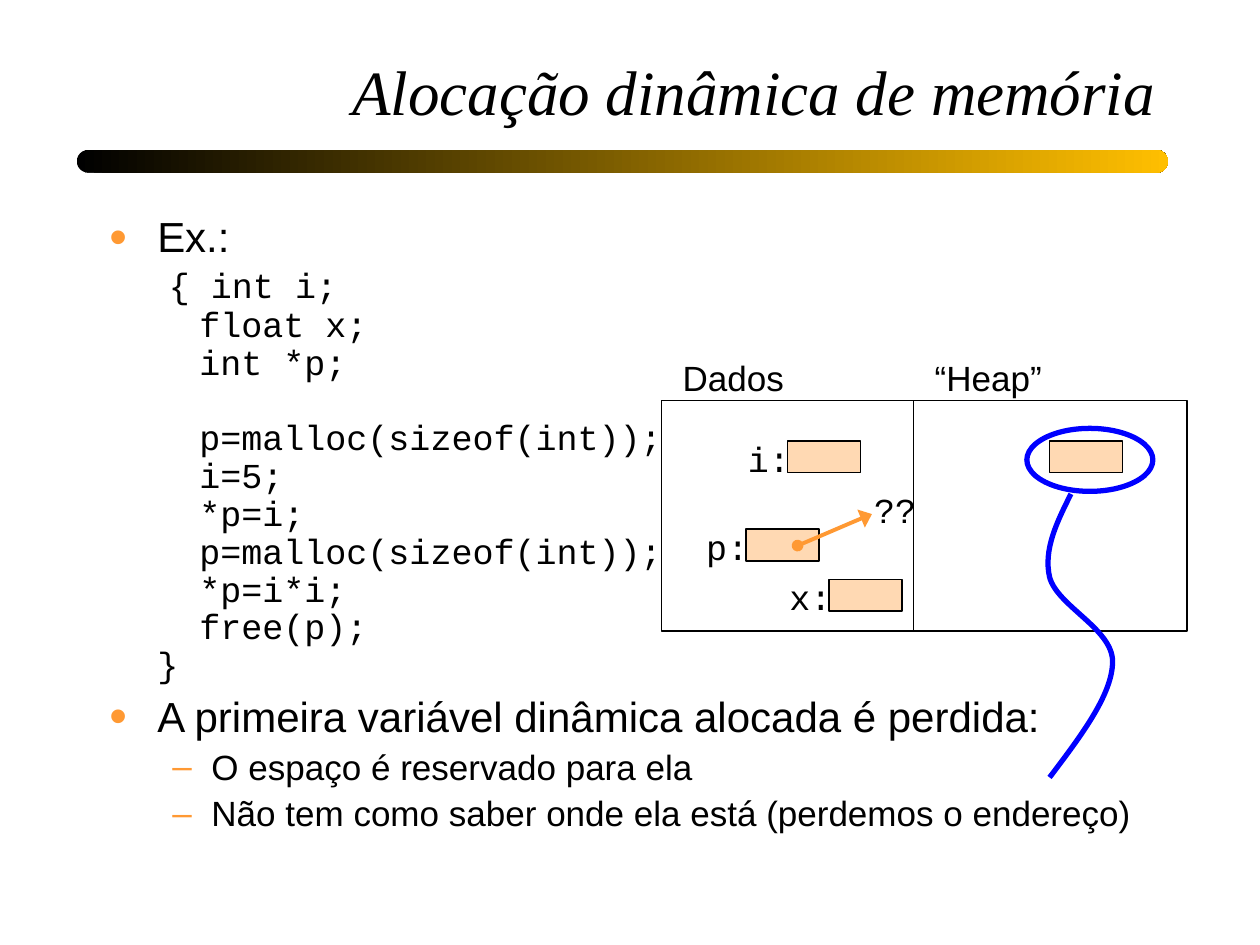
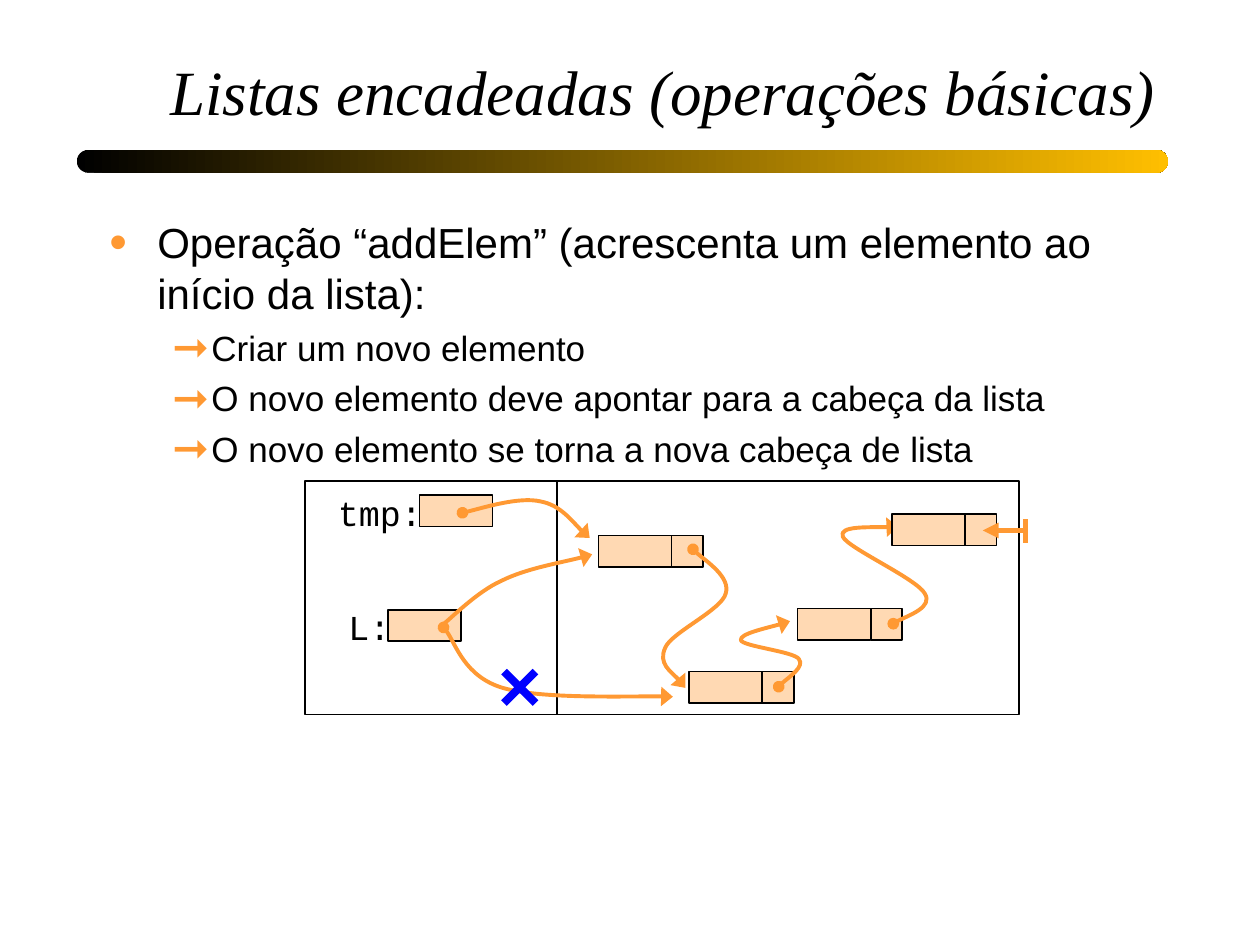
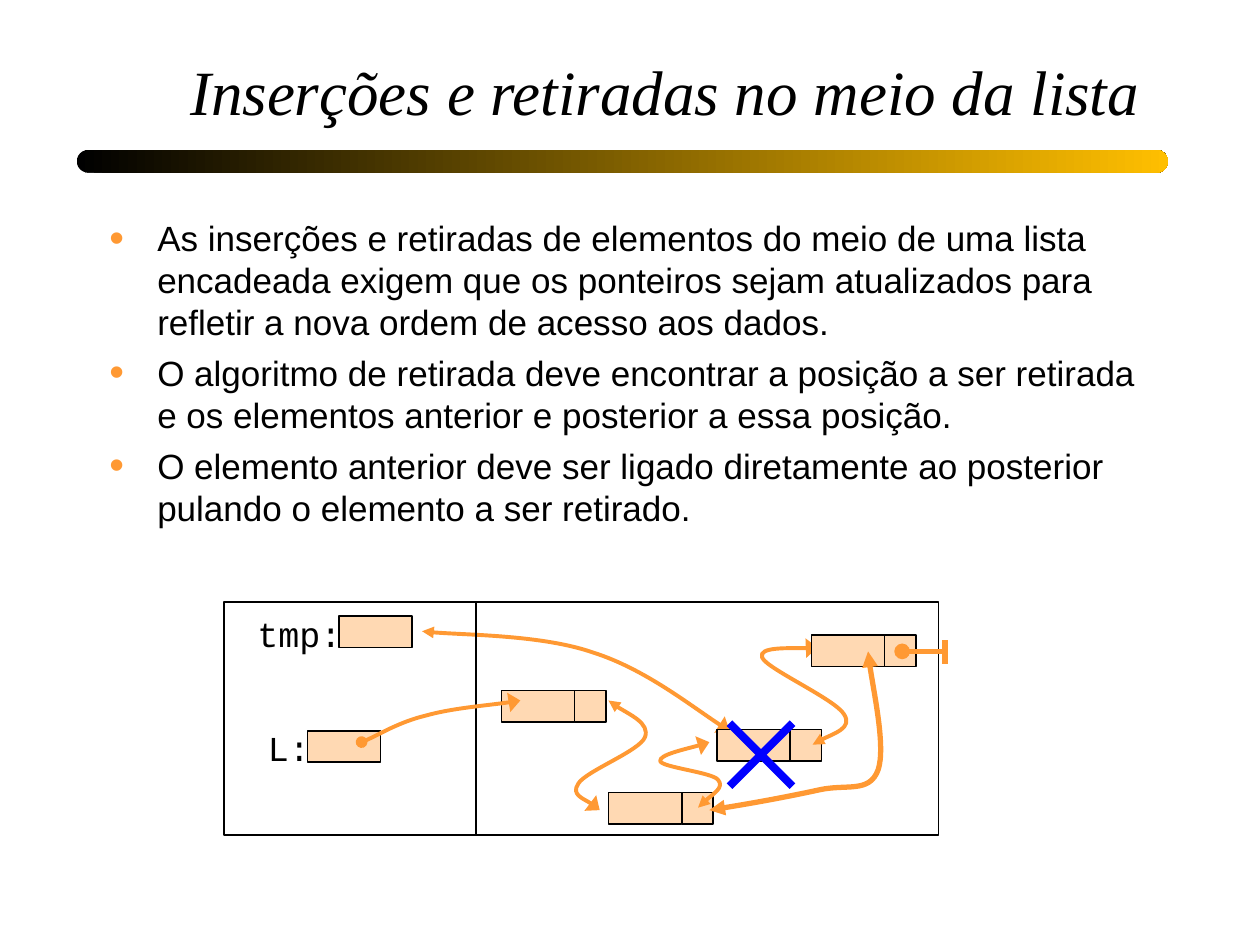
"""Build three slides on dynamic memory and linked lists."""
from copy import deepcopy
from dataclasses import dataclass, replace

from lxml.etree import SubElement
from pptx import Presentation
from pptx.dml.color import RGBColor
from pptx.enum.shapes import MSO_CONNECTOR, MSO_SHAPE
from pptx.enum.text import MSO_ANCHOR, MSO_AUTO_SIZE, PP_ALIGN
from pptx.oxml.ns import qn
from pptx.util import Inches, Pt


@dataclass(frozen=True)
class Theme:
    """Hold the colours, fonts and type sizes."""
    ink: str = "000000"
    gold: str = "FFBF00"
    peach: str = "FFD9B3"
    orange: str = "FF9933"
    blue: str = "0000FF"
    serif: str = "Times New Roman"
    sans: str = "Arial"
    mono: str = "Courier New"
    title: int = 36
    lead: int = 24
    text: int = 20


THEME = Theme()
CELL_W, LINK_W, CELL_H = 0.58, 0.25, 0.25
DATA_W = 2.0
SHIFT = (-0.64, 0.96)


@dataclass(frozen=True)
class Item:
    """Describe one bulleted paragraph."""
    text: str
    size: int = THEME.text
    mark: str = "•"
    scale: int = 120
    space: int = 5
    code: str = ""


@dataclass(frozen=True)
class Part:
    """Place one part of a diagram."""
    x: float
    y: float


@dataclass(frozen=True)
class Box(Part):
    """Describe an outlined shape."""
    w: float = CELL_W
    h: float = CELL_H
    fill: str | None = THEME.peach
    line: str = THEME.ink
    width: float = 1
    kind: MSO_SHAPE = MSO_SHAPE.RECTANGLE


@dataclass(frozen=True)
class Label(Part):
    """Describe a short text."""
    text: str
    w: float
    font: str = THEME.mono


@dataclass(frozen=True)
class Named(Part):
    """Describe a variable: a cell with its name on the left."""
    name: str


@dataclass(frozen=True)
class Node(Part):
    """Describe a list element: a cell and its link."""


@dataclass(frozen=True)
class Frame(Part):
    """Describe the memory frame, split into data and heap."""
    w: float
    h: float


@dataclass(frozen=True)
class Line(Part):
    """Describe a straight line by its start and extent."""
    w: float
    h: float
    color: str = THEME.orange
    width: float = 3
    head: str = ""
    tail: str = ""


@dataclass(frozen=True)
class Cross(Part):
    """Describe a blue cross."""
    size: float


@dataclass(frozen=True)
class Curve(Part):
    """Describe joined Bézier curves, moved by x and y."""
    points: tuple[tuple[float, float], ...]
    head: str = "oval"
    tail: str = "triangle"
    color: str = THEME.orange
    width: float = 2.25
    span: str = "lg"


def rgb(color: str) -> RGBColor:
    """Turn a hex string into a colour."""
    return RGBColor.from_string(color)


def style(font, face: str, size: int) -> None:
    """Set face, size and ink of a font."""
    font.name, font.size = face, Pt(size)
    font.color.rgb = rgb(THEME.ink)


def write(para, text: str, face: str, size: int) -> None:
    """Add text to a paragraph, with a break at each new line."""
    for row, words in enumerate(text.split("\n")):
        if row:
            para.add_line_break()
            para._p[-1].append(deepcopy(run._r.rPr))
        if words:
            run = para.add_run()
            run.text = words
            style(run.font, face, size)


def stroke(shape, color: str, width: float, head: str = "", tail: str = "",
           span: str = "med") -> None:
    """Colour a line and add its arrowheads, the tail as wide as span."""
    shape.line.color.rgb = rgb(color)
    shape.line.width = Pt(width)
    line = shape.element.spPr.find(qn("a:ln"))
    for tag, kind, wide in (("a:headEnd", head, "med"), ("a:tailEnd", tail, span)):
        if kind:
            tip = SubElement(line, qn(tag))
            tip.set("type", kind)
            tip.set("w", wide)


def draw_box(slide, box: Box) -> None:
    """Draw an outlined shape."""
    shape = slide.shapes.add_shape(box.kind, *map(Inches, (box.x, box.y, box.w, box.h)))
    shape.shadow.inherit = False
    if box.fill:
        shape.fill.solid()
        shape.fill.fore_color.rgb = rgb(box.fill)
    else:
        shape.fill.background()
    stroke(shape, box.line, box.width)


def draw_label(slide, label: Label) -> None:
    """Draw a short text on one line, free to use the right margin."""
    shape = slide.shapes.add_textbox(*map(Inches, (label.x, label.y, label.w, 0.44)))
    frame = shape.text_frame
    frame.word_wrap = False
    frame.auto_size = MSO_AUTO_SIZE.SHAPE_TO_FIT_TEXT
    frame.margin_right = 0
    write(frame.paragraphs[0], label.text, label.font, THEME.text)


def draw_line(slide, line: Line) -> None:
    """Draw a straight line."""
    ends = (line.x, line.y, line.x + line.w, line.y + line.h)
    shape = slide.shapes.add_connector(MSO_CONNECTOR.STRAIGHT, *map(Inches, ends))
    stroke(shape, line.color, line.width, line.head, line.tail)
    SubElement(shape.element.spPr, qn("a:effectLst"))


def draw_curve(slide, curve: Curve) -> None:
    """Draw a chain of Bézier curves, three points to each."""
    first, *rest = [(Inches(x + curve.x), Inches(y + curve.y)) for x, y in curve.points]
    maker = slide.shapes.build_freeform(*first)
    maker.add_line_segments(rest, close=False)
    shape = maker.convert_to_shape()
    shape.shadow.inherit = False
    shape.fill.background()
    steps = list(shape.element.iter(qn("a:lnTo")))
    host = steps[0].getparent()
    for start in range(0, len(steps), 3):
        bend = SubElement(host, qn("a:cubicBezTo"))
        for step in steps[start:start + 3]:
            bend.append(step[0])
            host.remove(step)
    stroke(shape, curve.color, curve.width, curve.head, curve.tail, curve.span)


def draw(slide, parts: list[Part]) -> None:
    """Draw parts from back to front."""
    for part in parts:
        x, y = part.x, part.y
        match part:
            case Box():
                draw_box(slide, part)
            case Label():
                draw_label(slide, part)
            case Line():
                draw_line(slide, part)
            case Curve():
                draw_curve(slide, part)
            case Named():
                wide = 0.2 + len(part.name) / 6
                draw(slide, [Label(x + 0.12 - wide, y - 0.08, part.name, wide), Box(x, y)])
            case Node():
                draw(slide, [Box(x, y), Box(x + CELL_W, y, LINK_W)])
            case Frame():
                draw(slide, [Box(x, y, part.w, part.h, None),
                             Line(x + DATA_W, y, 0, part.h, THEME.ink, 1)])
            case Cross():
                size = part.size
                draw(slide, [Line(x, y, size, size, THEME.blue, 4.5),
                             Line(x + size, y, -size, size, THEME.blue, 4.5)])


def move(parts: list[Part], dx: float, dy: float) -> list[Part]:
    """Shift parts by a distance."""
    return [replace(part, x=part.x + dx, y=part.y + dy) for part in parts]


def chain(head: str, null: str) -> list[Part]:
    """List the parts that both list diagrams share."""
    return [
        Frame(2.42, 3.82, 5.67, 1.85),
        Named(3.33, 3.93, "tmp:"),
        Named(3.08, 4.84, "L:"),
        Node(6.33, 4.83),
        Curve(0, 0, ((7.09, 4.95), (7.14, 4.91), (7.41, 4.82), (7.34, 4.71),
                     (7.27, 4.59), (6.73, 4.35), (6.69, 4.26),
                     (6.65, 4.17), (7.04, 4.19), (7.13, 4.18)), head),
        Node(5.47, 5.33),
        Curve(0, 0, ((6.18, 5.45), (6.21, 5.41), (6.39, 5.29), (6.34, 5.23),
                     (6.3, 5.17), (5.89, 5.13), (5.88, 5.08),
                     (5.87, 5.03), (6.19, 4.96), (6.27, 4.93)), head),
        Node(7.08, 4.08),
        Line(7.8, 4.21, 0.36, 0, head=null),
        Line(8.14, 4.12, 0, 0.19),
    ]


def add_mark(para, item: Item) -> None:
    """Give a paragraph its indent and bullet."""
    deep = item.mark != "•"
    left, hang = (0.81, -0.31) if deep else (0.38, -0.38)
    para.level = int(deep)
    props = para._p.get_or_add_pPr()
    props.set("marL", str(Inches(left)))
    props.set("indent", str(Inches(hang)))
    SubElement(SubElement(props, qn("a:buClr")), qn("a:srgbClr")).set("val", THEME.orange)
    SubElement(props, qn("a:buSzPct")).set("val", str(item.scale * 1000))
    SubElement(props, qn("a:buFont")).set("typeface", THEME.sans)
    SubElement(props, qn("a:buChar")).set("char", item.mark)


def add_band(slide) -> None:
    """Draw the gradient band under the title."""
    band = slide.shapes.add_shape(MSO_SHAPE.ROUNDED_RECTANGLE,
                                  *map(Inches, (0.61, 1.19, 8.66, 0.18)))
    band.adjustments[0] = 0.5
    band.shadow.inherit = False
    band.line.fill.background()
    band.fill.gradient()
    band.fill.gradient_angle = 0
    for stop, color in zip(band.fill.gradient_stops, (THEME.ink, THEME.gold)):
        stop.color.rgb = rgb(color)


def add_title(slide, text: str) -> None:
    """Place and format the title."""
    title = slide.shapes.title
    title.left, title.top, title.width, title.height = map(Inches, (0.77, 0.15, 8.5, 0.92))
    frame = title.text_frame
    frame.vertical_anchor = MSO_ANCHOR.BOTTOM
    frame.auto_size = MSO_AUTO_SIZE.NONE
    para = frame.paragraphs[0]
    para.alignment = PP_ALIGN.RIGHT
    write(para, text, THEME.serif, THEME.title)
    para.runs[0].font.italic = True


def add_body(slide, items: list[Item], height: float, pitch: float) -> None:
    """Add the bulleted text."""
    frame = slide.shapes.add_textbox(*map(Inches, (0.77, 1.67, 8.5, height))).text_frame
    frame.word_wrap = True
    for place, item in enumerate(items):
        para = frame.add_paragraph() if place else frame.paragraphs[0]
        para.line_spacing = pitch
        if place:
            para.space_before = Pt(item.space)
        add_mark(para, item)
        write(para, item.text, THEME.sans, item.size)
        if item.code:
            write(para, item.code, THEME.mono, THEME.text)


def add_page(deck, title: str, items: list[Item], parts: list[Part],
             height: float = 5.25, pitch: float = 1.0) -> None:
    """Add a slide with title, band, text and diagram."""
    slide = deck.slides.add_slide(deck.slide_layouts[5])
    add_band(slide)
    add_title(slide, title)
    add_body(slide, items, height, pitch)
    draw(slide, parts)


CODE = """{ int i;
  float x;
  int *p;

  p=malloc(sizeof(int));
  i=5;
  *p=i;
  p=malloc(sizeof(int));
  *p=i*i;
  free(p);
}"""


def main() -> None:
    """Build and save the deck."""
    deck = Presentation()
    deck.slide_width, deck.slide_height = Inches(10), Inches(7.5)

    add_page(deck, "Alocação dinâmica de memória", [
        Item("Ex.:\n ", THEME.lead, code=CODE),
        Item("A primeira variável dinâmica alocada é perdida:", THEME.lead, space=6),
        Item("O espaço é reservado para ela", mark="–", scale=100),
        Item("Não tem como saber onde ela está (perdemos o endereço)", mark="–", scale=100),
    ], [
        Frame(5.25, 3.18, 4.17, 1.83),
        Named(6.25, 3.5, "i:"),
        Named(6.58, 4.6, "x:"),
        Named(5.92, 4.2, "p:"),
        Label(5.32, 2.78, "Dados", 1, THEME.sans),
        Label(7.32, 2.78, "“Heap”", 1.05, THEME.sans),
        Box(8.33, 3.5),
        Curve(0, 0, ((6.33, 4.33), (6.43, 4.29), (6.82, 4.12), (6.92, 4.08))),
        Label(6.84, 3.83, "??", 0.53),
        Box(8.15, 3.4, 1, 0.5, None, THEME.blue, 3, MSO_SHAPE.OVAL),
        Curve(0, 0, ((8.33, 6.17), (8.58, 5.84), (8.83, 5.51), (8.83, 5.25),
                     (8.83, 4.99), (8.39, 4.81), (8.33, 4.58),
                     (8.28, 4.36), (8.39, 4.14), (8.5, 3.92)), "", "", THEME.blue, 3),
    ], 5.5, 0.9)

    add_page(deck, "Listas encadeadas (operações básicas)", [
        Item("Operação “addElem” (acrescenta um elemento ao início da lista):", THEME.lead),
        Item("Criar um novo elemento", mark="➞", scale=125),
        Item("O novo elemento deve apontar para a cabeça da lista", mark="➞", scale=125),
        Item("O novo elemento se torna a nova cabeça de lista", mark="➞", scale=125),
    ], [
        *chain("oval", "triangle"),
        Node(4.75, 4.25),
        Curve(0, 0, ((3.67, 4.07), (3.77, 4.05), (4.12, 3.94), (4.29, 3.98),
                     (4.45, 4.01), (4.6, 4.21), (4.68, 4.27))),
        Curve(0, 0, ((5.5, 4.36), (5.54, 4.41), (5.8, 4.58), (5.76, 4.71),
                     (5.73, 4.84), (5.33, 5.02), (5.28, 5.14),
                     (5.22, 5.27), (5.41, 5.4), (5.44, 5.46))),
        Curve(0, 0, ((3.52, 4.98), (3.6, 5.06), (3.69, 5.37), (3.99, 5.46),
                     (4.3, 5.55), (5.06, 5.52), (5.34, 5.53))),
        Curve(0, 0, ((3.5, 4.97), (3.58, 4.91), (3.78, 4.7), (3.98, 4.61),
                     (4.18, 4.51), (4.55, 4.45), (4.7, 4.4)), ""),
        Cross(4, 5.33, 0.25),
    ])

    add_page(deck, "Inserções e retiradas no meio da lista ", [
        Item("As inserções e retiradas de elementos do meio de uma lista encadeada exigem "
             "que os ponteiros sejam atualizados para refletir a nova ordem de acesso "
             "aos dados."),
        Item("O algoritmo de retirada deve encontrar a posição a ser retirada e os "
             "elementos anterior e posterior a essa posição."),
        Item("O elemento anterior deve ser ligado diretamente ao posterior pulando o "
             "elemento a ser retirado."),
    ], [
        Node(3.98, 5.48),
        Curve(0, 0, ((3.35, 5.01), (3.57, 5.04), (4.31, 5.04), (4.71, 5.18),
                     (5.12, 5.31), (5.57, 5.67), (5.79, 5.8)), "triangle"),
        *move(chain("triangle", "oval"), *SHIFT),
        Curve(0, 0, ((4.83, 5.56), (4.88, 5.61), (5.16, 5.74), (5.12, 5.85),
                     (5.08, 5.96), (4.65, 6.12), (4.59, 6.22),
                     (4.53, 6.31), (4.72, 6.38), (4.76, 6.43)), "triangle"),
        Curve(0, 0, ((2.87, 5.89), (2.96, 5.86), (3.17, 5.73), (3.38, 5.68),
                     (3.59, 5.62), (3.98, 5.59), (4.13, 5.56))),
        Cross(5.79, 5.74, 0.5),
        Curve(0, 0, ((5.63, 6.43), (5.95, 6.38), (6.27, 6.32), (6.5, 6.27),
                     (6.72, 6.22), (6.9, 6.3), (6.97, 6.11),
                     (7.03, 5.93), (6.9, 5.32), (6.89, 5.17)),
              "triangle", width=3, span="med"),
    ])

    deck.save("out.pptx")


if __name__ == "__main__":
    main()
